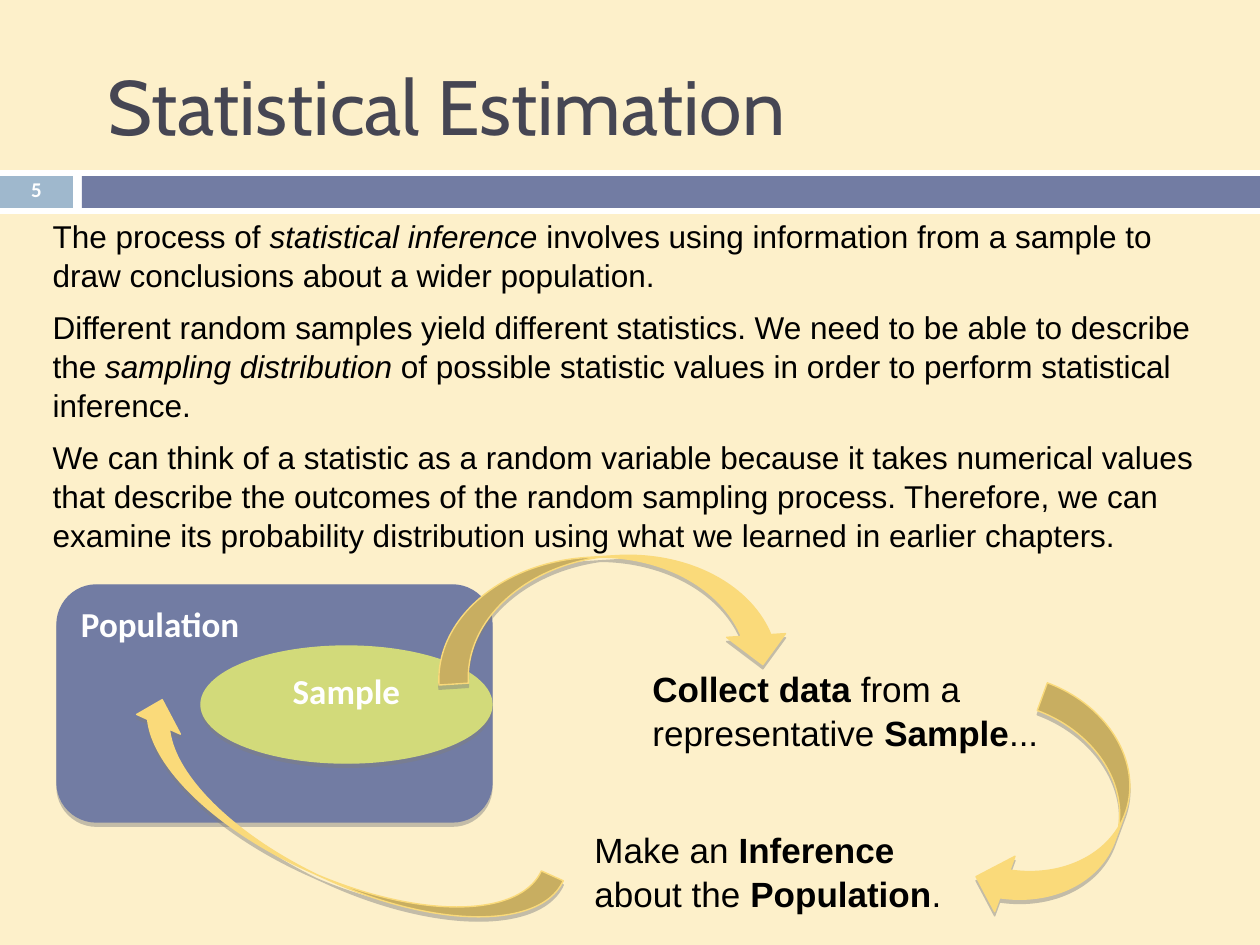
"""Build the Statistical Estimation slide."""
from lxml.etree import SubElement
from pptx import Presentation
from pptx.dml.color import RGBColor
from pptx.enum.shapes import MSO_SHAPE as Kind
from pptx.enum.text import MSO_ANCHOR, MSO_AUTO_SIZE, PP_ALIGN
from pptx.oxml.ns import qn
from pptx.util import Pt

CREAM = RGBColor(0xFD, 0xF0, 0xCA)
WHITE = RGBColor(0xFF, 0xFF, 0xFF)
BLACK = RGBColor(0, 0, 0)
SLATE = RGBColor(0x46, 0x46, 0x53)
BLUE = RGBColor(0x72, 0x7C, 0xA3)
SKY = RGBColor(0x9F, 0xB8, 0xCD)
LIME = RGBColor(0xD2, 0xDA, 0x7A)
GOLD = RGBColor(0xFA, 0xDA, 0x7A)

TITLE = ("Statistical Estimation", (95, 21, 1071, 168))
NUMBER = ("5", (0, 175, 73, 34))
BARS = [
    ((0, 170, 1260, 44), WHITE),
    ((0, 176, 73, 32), SKY),
    ((82, 176, 1178, 32), BLUE),
]
BODY_BOX = (40, 209, 1200, 344)
BODY = [
    [("The process of ", ""), ("statistical inference", "i"),
     (" involves using information from a sample to draw conclusions "
      "about a wider population.", "")],
    [("Different random samples yield different statistics. We need to be "
      "able to describe the ", ""), ("sampling distribution", "i"),
     (" of possible statistic values in order to perform statistical "
      "inference.", "")],
    [("We can think of a statistic as a random variable because it takes "
      "numerical values that describe the outcomes of the random sampling "
      "process. Therefore, we can examine its probability distribution "
      "using what we learned in earlier chapters.", "")],
]
GROUPS = [
    ("Population", Kind.ROUNDED_RECTANGLE, (57, 585, 435, 237), BLUE,
     PP_ALIGN.LEFT),
    ("Sample", Kind.OVAL, (201, 646, 291, 117), LIME, PP_ALIGN.CENTER),
]
ARROWS = [
    ((435, 556, 354, 118), 356.4),
    ((944, 755, 236, 118), 110.2),
    ((100, 781, 464, 96), 204.3),
]
STEPS = [
    ((640, 660, 426, 97),
     [("Collect data ", "b"), ("from a representative ", ""),
      ("Sample", "b"), ("...", "")]),
    ((582, 821, 403, 97),
     [("Make an ", ""), ("Inference ", "b"), ("about the ", ""),
      ("Population", "b"), (".", "")]),
]

SCALE = 914400 / 126


def emu(box):
    return [round(n * SCALE) for n in box]


def place(shape, box):
    shape.left, shape.top, shape.width, shape.height = emu(box)


def style(font, name, size, color, bold=None):
    font.name, font.size, font.bold = name, Pt(size), bold
    font.color.rgb = color


def write(para, parts, size):
    para.line_spacing = 1.04
    for text, mark in parts:
        run = para.add_run()
        run.text = text
        style(run.font, "Arial", size, BLACK, mark == "b")
        run.font.italic = mark == "i"


def label(shape, text, size, align, color=WHITE):
    frame = shape.text_frame
    frame.text = text
    para = frame.paragraphs[0]
    para.alignment = align
    style(para.runs[0].font, "Calibri", size, color, True)
    return frame


def draw(slide, kind, box, color):
    shape = slide.shapes.add_shape(kind, *emu(box))
    shape.shadow.inherit = False
    shape.fill.solid()
    shape.fill.fore_color.rgb = color
    shape.line.fill.background()
    return shape


def raised(slide, kind, box, color):
    shape = draw(slide, kind, box, color)
    shape.line.color.rgb = color
    shape.line.width = Pt(0.79)
    effects = shape.element.spPr.find(qn("a:effectLst"))
    shade = SubElement(effects, qn("a:outerShdw"), blurRad="0",
                       dist=str(Pt(2.4)), dir="5400000", rotWithShape="0")
    tint = SubElement(shade, qn("a:srgbClr"), val="808080")
    SubElement(tint, qn("a:alpha"), val="45000")
    return shape


def main():
    deck = Presentation()
    deck.slide_width, deck.slide_height = emu((1260, 945))
    slide = deck.slides.add_slide(deck.slide_layouts[1])
    slide.background.fill.solid()
    slide.background.fill.fore_color.rgb = CREAM

    for box, color in BARS:
        draw(slide, Kind.RECTANGLE, box, color)

    text, box = NUMBER
    page = slide.shapes.add_textbox(*emu(box))
    frame = label(page, text, 12, PP_ALIGN.CENTER)
    frame.word_wrap = True
    frame.vertical_anchor = MSO_ANCHOR.MIDDLE
    frame.paragraphs[0].line_spacing = 0.7

    text, box = TITLE
    title = slide.shapes.title
    place(title, box)
    frame = title.text_frame
    frame.text = text
    frame.auto_size = MSO_AUTO_SIZE.NONE
    frame.vertical_anchor = MSO_ANCHOR.MIDDLE
    frame.paragraphs[0].alignment = PP_ALIGN.LEFT
    style(frame.paragraphs[0].runs[0].font, "Cabin", 44, SLATE)

    body = slide.placeholders[1]
    place(body, BODY_BOX)
    frame = body.text_frame
    frame.auto_size = MSO_AUTO_SIZE.NONE
    for i, parts in enumerate(BODY):
        para = frame.add_paragraph() if i else frame.paragraphs[0]
        props = para._p.get_or_add_pPr()
        props.set("marL", "0")
        props.set("indent", "0")
        SubElement(props, qn("a:buNone"))
        para.space_before = Pt(7 if i else 0)
        write(para, parts, 18)

    for text, kind, box, color, align in GROUPS:
        shape = raised(slide, kind, box, color)
        label(shape, text, 20, align)
        shape.text_frame.vertical_anchor = MSO_ANCHOR.TOP

    for box, turn in ARROWS:
        raised(slide, Kind.CURVED_DOWN_ARROW, box, GOLD).rotation = turn

    for box, parts in STEPS:
        note = slide.shapes.add_textbox(*emu(box))
        note.text_frame.word_wrap = True
        write(note.text_frame.paragraphs[0], parts, 20)

    deck.save("out.pptx")


if __name__ == "__main__":
    main()
